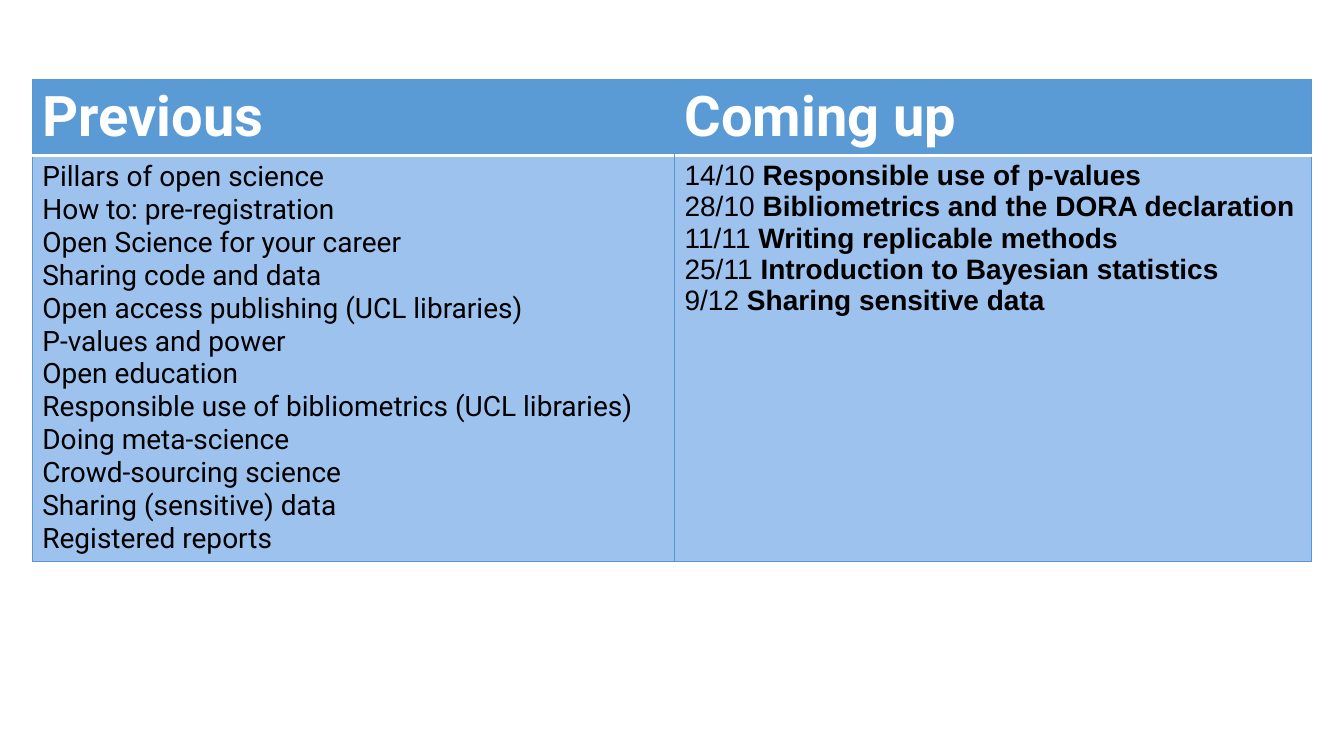
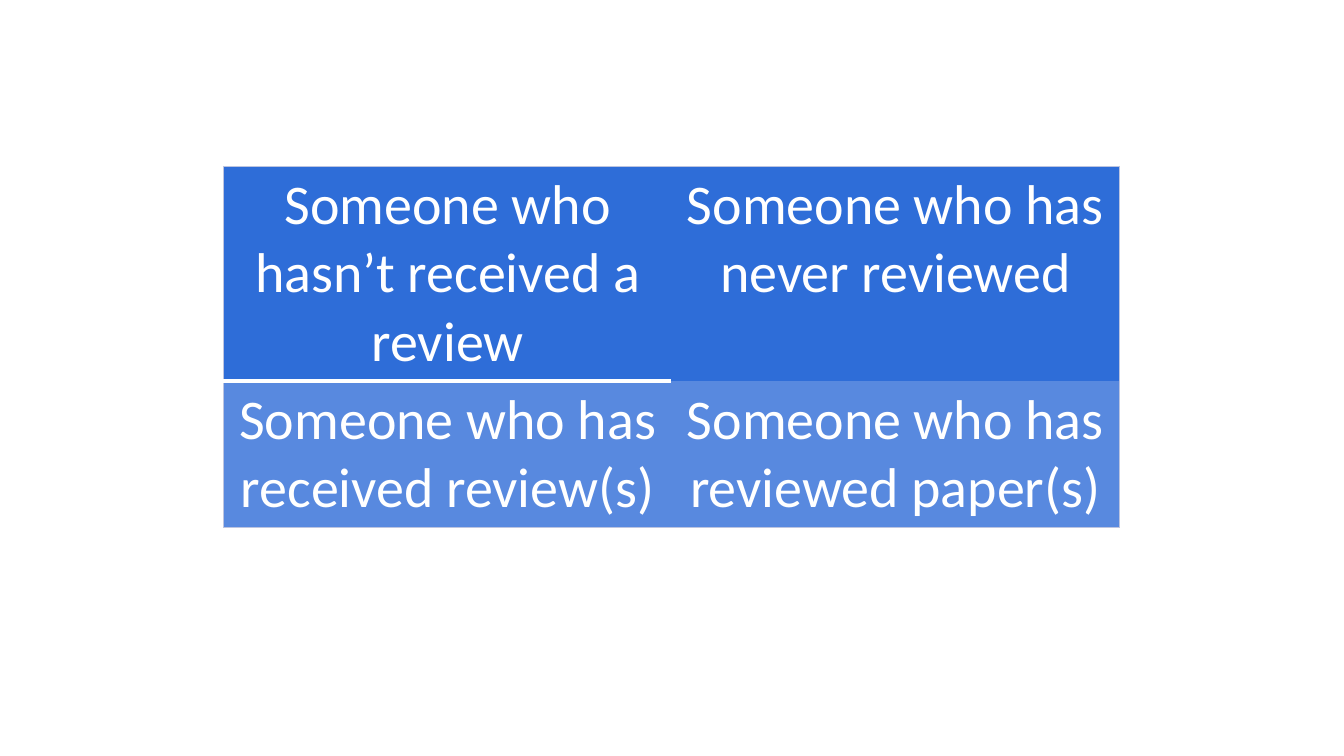
from lxml.etree import SubElement
from pptx import Presentation
from pptx.dml.color import RGBColor
from pptx.enum.text import PP_ALIGN
from pptx.oxml.ns import qn
from pptx.util import Inches, Pt

WHITE, BLACK = "FFFFFF", "000000"
HEADER, BODY, BLUE_FRAME = "5B9BD5", "9DC2EE", "5698D3"
ROYAL, LIGHT_ROYAL, PALE_FRAME = "2E6DD8", "5889DF", "BCC4E0"

PREVIOUS = [
    "Pillars of open science",
    "How to: pre-registration",
    "Open Science for your career",
    "Sharing code and data",
    "Open access publishing (UCL libraries)",
    "P-values and power",
    "Open education",
    "Responsible use of bibliometrics (UCL libraries)",
    "Doing meta-science",
    "Crowd-sourcing science",
    "Sharing (sensitive) data",
    "Registered reports",
]
COMING_UP = [
    ("14/10 ", "Responsible use of p-values"),
    ("28/10 ", "Bibliometrics and the DORA declaration"),
    ("11/11 ", "Writing replicable methods"),
    ("25/11 ", "Introduction to Bayesian statistics"),
    ("9/12 ", "Sharing sensitive data"),
]
REVIEW_GRID = [
    ["Someone who hasn’t received a review", "Someone who has never reviewed"],
    ["Someone who has received review(s)", "Someone who has reviewed paper(s)"],
]


def rgb(value):
    return RGBColor.from_string(value)


class Deck:
    """Holds the presentation, its table style and the current slide."""

    def __init__(self):
        self.prs = Presentation()
        self.prs.slide_width, self.prs.slide_height = Inches(13.33), Inches(7.5)
        self.s = None

    def slide(self):
        self.s = self.prs.slides.add_slide(self.prs.slide_layouts[6])
        fill = self.s.background.fill
        fill.solid()
        fill.fore_color.rgb = rgb(WHITE)

    def table(self, left, top, widths, heights, fills, frame, rules, dividers):
        rows, cols = len(heights), len(widths)
        tbl = self.s.shapes.add_table(
            rows, cols, Inches(left), Inches(top),
            Inches(sum(widths)), Inches(sum(heights))).table
        tbl.first_row = tbl.horz_banding = False
        for col, width in zip(tbl.columns, widths):
            col.width = Inches(width)
        for i, height in enumerate(heights):
            tbl.rows[i].height = Inches(height)
            for j in range(cols):
                cell = tbl.cell(i, j)
                self.edge(cell, "L", dividers[i] if j else frame)
                self.edge(cell, "R", dividers[i] if j < cols - 1 else frame)
                self.edge(cell, "T", rules[j] if i else frame)
                self.edge(cell, "B", rules[j] if i < rows - 1 else frame)
                cell.fill.solid()
                cell.fill.fore_color.rgb = rgb(fills[i])
        return tbl

    def edge(self, cell, side, line):
        ln = SubElement(cell._tc.get_or_add_tcPr(), qn(f"a:ln{side}"))
        if line is None:
            SubElement(ln, qn("a:noFill"))
            return
        color, width = line
        ln.set("w", str(Pt(width)))
        SubElement(SubElement(ln, qn("a:solidFill")), qn("a:srgbClr"), val=color)

    def text(self, cell, paragraphs, font, size, color, bold=False, align=PP_ALIGN.LEFT):
        tf = cell.text_frame
        for i, content in enumerate(paragraphs):
            p = tf.add_paragraph() if i else tf.paragraphs[0]
            p.alignment = align
            runs = [(content, bold)] if isinstance(content, str) else zip(content, (False, True))
            for words, strong in runs:
                r = p.add_run()
                r.text = words
                r.font.name, r.font.size = font, Pt(size)
                r.font.bold = strong
                r.font.color.rgb = rgb(color)


def sessions(deck):
    deck.slide()
    frame = (BLUE_FRAME, 0.75)
    tbl = deck.table(0.32, 0.79, [6.37, 6.32], [0.75, 4.03], [HEADER, BODY],
                     frame, [(WHITE, 2)] * 2, [None, frame])
    for j, title in enumerate(["Previous", "Coming up"]):
        deck.text(tbl.cell(0, j), [title], "Roboto", 40, WHITE, bold=True)
    deck.text(tbl.cell(1, 0), PREVIOUS, "Roboto", 20, BLACK)
    deck.text(tbl.cell(1, 1), COMING_UP, "Arial", 20, BLACK)


def review_experience(deck):
    deck.slide()
    tbl = deck.table(2.22, 1.65, [4.44] * 2, [2.13, 1.45], [ROYAL, LIGHT_ROYAL],
                     (PALE_FRAME, 0.75), [(WHITE, 3), None], [None, None])
    for i, row in enumerate(REVIEW_GRID):
        for j, words in enumerate(row):
            deck.text(tbl.cell(i, j), [words], "Calibri", 40, WHITE, align=PP_ALIGN.CENTER)


def main():
    deck = Deck()
    sessions(deck)
    review_experience(deck)
    deck.prs.save("out.pptx")


if __name__ == "__main__":
    main()
